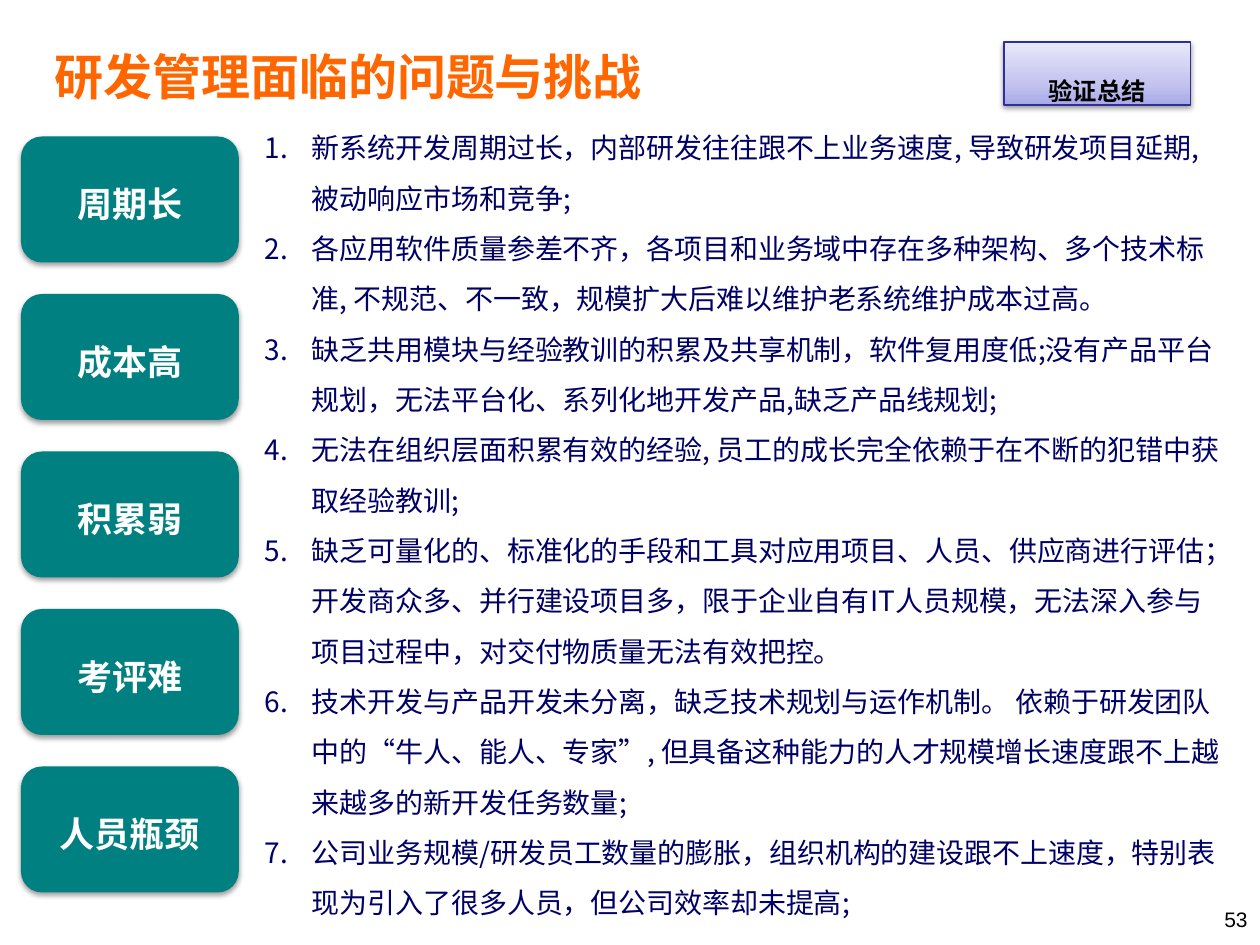
from copy import deepcopy
from lxml import etree
from pptx import Presentation
from pptx import util as u
from pptx.dml.color import RGBColor
from pptx.enum import shapes, text
from pptx.oxml import parse_xml
from pptx.oxml.ns import nsdecls, qn

PX = 9525  # 96 px to the inch
THEME = dict(
    latin="Arial", cjk="Noto Sans CJK SC",
    title="FF6600", body="000066", card="008080", white="FFFFFF", black="000000",
    tag_line="2F2F98", tag_stops=[(0, "A9A9E9"), (0.35, "C4C4EF"), (1, "E8E8FA")],
    title_pt=28, body_pt=16, card_pt=20, tag_pt=24, page_pt=12,
)
SHADOW = (f'<a:effectLst {nsdecls("a")}><a:outerShdw blurRad="40000" dist="20000" dir="5400000" '
          'rotWithShape="0"><a:srgbClr val="000000"><a:alpha val="38000"/></a:srgbClr>'
          '</a:outerShdw></a:effectLst>')


def place(sp, x, y, w, h):
    sp.left, sp.top, sp.width, sp.height = [u.Emu(v * PX) for v in (x, y, w, h)]


def write(p, words, size, color, font=THEME["latin"], bold=False,
          align=text.PP_ALIGN.LEFT, spacing=1.0):
    p.alignment, p.line_spacing, p.space_before = align, spacing, u.Pt(0)
    r = p.add_run()
    r.text = words
    r.font.size, r.font.bold, r.font.name = u.Pt(size), bold, font
    r.font.color.rgb = RGBColor.from_string(color)
    etree.SubElement(r._r.get_or_add_rPr(), qn("a:ea")).set("typeface", THEME["cjk"])
    return r


prs = Presentation()
prs.slide_width, prs.slide_height = u.Emu(960 * PX), u.Emu(720 * PX)
s = prs.slides.add_slide(prs.slide_layouts[1])

# Title
title = s.shapes.title
place(title, 32, 29, 864, 58)
title.text_frame.vertical_anchor = text.MSO_ANCHOR.MIDDLE
title.text_frame.auto_size = text.MSO_AUTO_SIZE.NONE
write(title.text_frame.paragraphs[0], "研发管理面临的问题与挑战",
      THEME["title_pt"], THEME["title"], bold=True)

# Numbered list of problems
problems = [
    "新系统开发周期过长，内部研发往往跟不上业务速度, 导致研发项目延期, 被动响应市场和竞争;",
    "各应用软件质量参差不齐，各项目和业务域中存在多种架构、多个技术标准, 不规范、不一致，规模扩大后难以维护老系统维护成本过高。",
    "缺乏共用模块与经验教训的积累及共享机制，软件复用度低;没有产品平台规划，无法平台化、系列化地开发产品,缺乏产品线规划;",
    "无法在组织层面积累有效的经验, 员工的成长完全依赖于在不断的犯错中获取经验教训;",
    "缺乏可量化的、标准化的手段和工具对应用项目、人员、供应商进行评估；开发商众多、并行建设项目多，限于企业自有IT人员规模，无法深入参与项目过程中，对交付物质量无法有效把控。",
    "技术开发与产品开发未分离，缺乏技术规划与运作机制。 依赖于研发团队中的“牛人、能人、专家”, 但具备这种能力的人才规模增长速度跟不上越来越多的新开发任务数量;",
    "公司业务规模/研发员工数量的膨胀，组织机构的建设跟不上速度，特别表现为引入了很多人员，但公司效率却未提高;",
]
body = s.placeholders[1]
place(body, 192, 82, 752, 630)
tf = body.text_frame
tf.auto_size = text.MSO_AUTO_SIZE.SHAPE_TO_FIT_TEXT
for i, problem in enumerate(problems):
    p = tf.paragraphs[0] if i == 0 else tf.add_paragraph()
    write(p, problem, THEME["body_pt"], THEME["body"], font=THEME["cjk"], spacing=1.5)
    pPr = p._p.get_or_add_pPr()
    pPr.set("marL", str(36 * PX))
    pPr.set("indent", str(-36 * PX))
    etree.SubElement(pPr, qn("a:buFont")).set("typeface", THEME["cjk"])
    etree.SubElement(pPr, qn("a:buAutoNum")).set("type", "arabicPeriod")

# Keyword cards
for i, keyword in enumerate(["周期长", "成本高", "积累弱", "考评难", "人员瓶颈"]):
    card = s.shapes.add_shape(shapes.MSO_SHAPE.ROUNDED_RECTANGLE, 0, 0, 0, 0)
    place(card, 16, 104 + 120 * i, 166, 96)
    card.fill.solid()
    card.fill.fore_color.rgb = RGBColor.from_string(THEME["card"])
    card.line.fill.background()
    card._element.spPr.append(parse_xml(SHADOW))
    card.text_frame.vertical_anchor = text.MSO_ANCHOR.MIDDLE
    write(card.text_frame.paragraphs[0], keyword, THEME["card_pt"], THEME["white"],
          bold=True, align=text.PP_ALIGN.CENTER, spacing=1.2)

# Summary tag with a three-stop gradient
tag = s.shapes.add_shape(shapes.MSO_SHAPE.RECTANGLE, 0, 0, 0, 0)
place(tag, 765, 32, 142, 48)
tag.fill.gradient()
tag.fill.gradient_angle = 90
stops = tag._element.spPr.find(".//" + qn("a:gsLst"))
stops.append(deepcopy(stops[0]))
for stop, (position, color) in zip(tag.fill.gradient_stops, THEME["tag_stops"]):
    stop.position = position
    stop.color.rgb = RGBColor.from_string(color)
tag.line.color.rgb = RGBColor.from_string(THEME["tag_line"])
tag.line.width = u.Pt(0.75)
tag._element.spPr.append(parse_xml(SHADOW))
tag.text_frame.vertical_anchor = text.MSO_ANCHOR.TOP
r = write(tag.text_frame.paragraphs[0], "验证总结", THEME["tag_pt"], THEME["black"],
          bold=True, align=text.PP_ALIGN.CENTER)
r._r.get_or_add_rPr().set("baseline", "-25000")

# Page number
page = s.shapes.add_textbox(0, 0, 0, 0)
place(page, 736, 688, 224, 27)
page.text_frame.word_wrap = True
page.text_frame.vertical_anchor = text.MSO_ANCHOR.BOTTOM
write(page.text_frame.paragraphs[0], "53", THEME["page_pt"], THEME["black"],
      align=text.PP_ALIGN.RIGHT)

prs.save("out.pptx")
